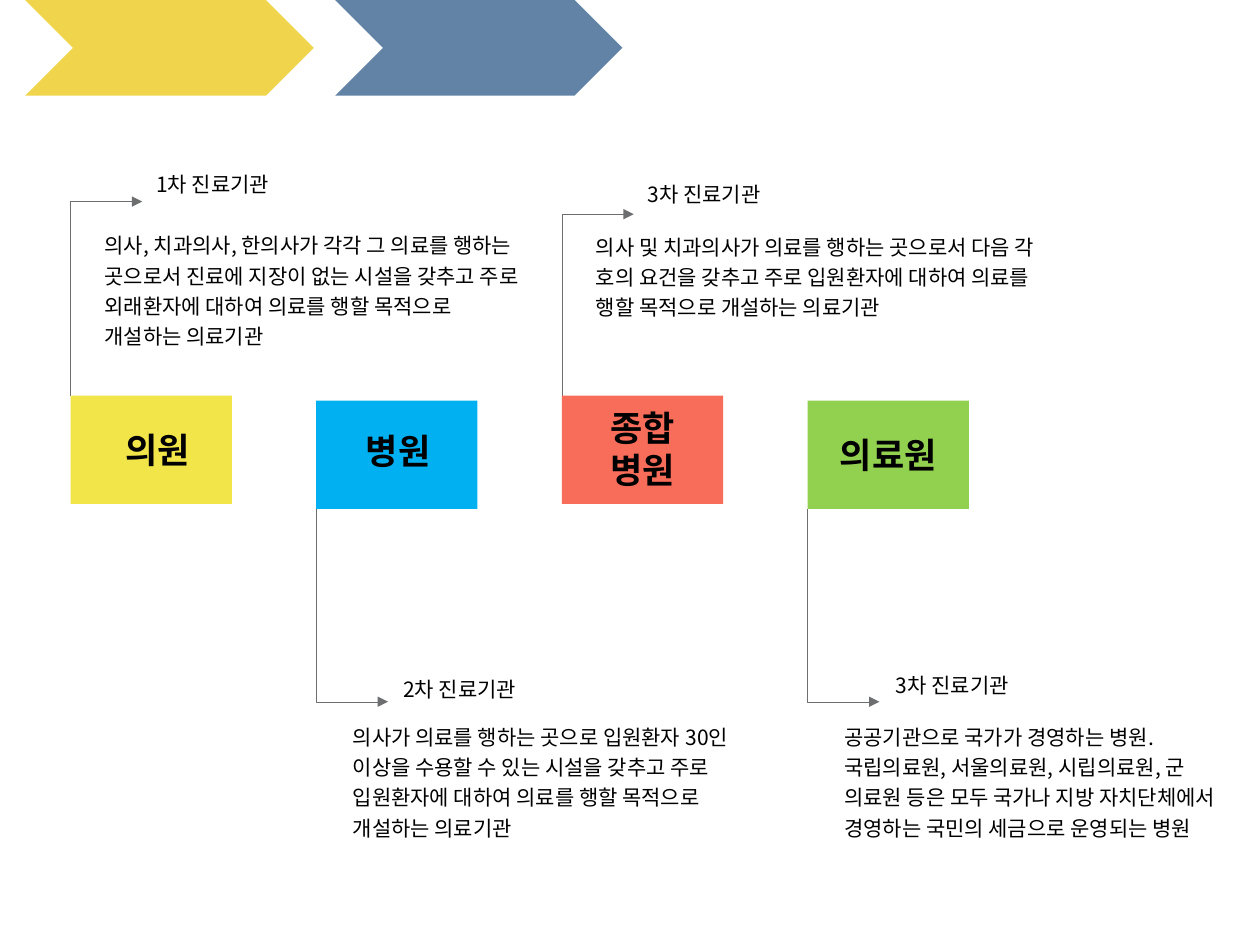
from pptx import Presentation
from pptx.dml.color import RGBColor
from pptx.enum.shapes import MSO_SHAPE
from pptx.enum.text import MSO_ANCHOR, PP_ALIGN
from pptx.oxml.ns import qn
from pptx.util import Inches, Pt
from lxml.etree import SubElement

THEME = {
    "font": "Noto Sans CJK KR",
    "text": "000000",
    "leader": "6D6E70",
    "body_size": 12,
    "name_size": 20,
}

# (left, width, colour)
CHEVRONS = [(0.2, 2.29, "F0D44C"), (2.66, 2.28, "6283A6")]
CHEVRON_HEIGHT = 0.76

# Boxes (left, top, width, height) for each text; "turn" is the height of the leader's bend.
INSTITUTIONS = [
    {"name": "의원", "name_box": (0.77, 3.35, 0.96, 0.44), "fill": "F1E549", "top": 3.14, "turn": 1.6,
     "level": "1차 진료기관", "level_box": (1.24, 1.36, 1.32, 0.45),
     "about": "의사, 치과의사, 한의사가 각각 그 의료를 행하는 곳으로서 진료에 지장이 없는 시설을 "
              "갖추고 주로 외래환자에 대하여 의료를 행할 목적으로 개설하는 의료기관",
     "about_box": (0.83, 1.81, 3.4, 1.27)},
    {"name": "병원", "name_box": (2.68, 3.36, 0.96, 0.44), "fill": "00B0F0", "top": 3.18, "turn": 5.57,
     "level": "2차 진료기관", "level_box": (3.2, 5.37, 1.32, 0.45),
     "about": "의사가 의료를 행하는 곳으로 입원환자 30인 이상을 수용할 수 있는 시설을 갖추고 주로 "
              "입원환자에 대하여 의료를 행할 목적으로 개설하는 의료기관",
     "about_box": (2.8, 5.71, 3.36, 1.3)},
    {"name": "종합병원", "name_box": (4.62, 3.18, 0.96, 0.77), "fill": "F86D5A", "top": 3.14, "turn": 1.7,
     "level": "3차 진료기관", "level_box": (5.14, 1.44, 1.32, 0.43),
     "about": "의사 및 치과의사가 의료를 행하는 곳으로서 다음 각 호의 요건을 갖추고 주로 "
              "입원환자에 대하여 의료를 행할 목적으로 개설하는 의료기관",
     "about_box": (4.73, 1.82, 3.7, 1.17)},
    {"name": "의료원", "name_box": (6.41, 3.39, 1.28, 0.44), "fill": "92D050", "top": 3.18, "turn": 5.57,
     "level": "3차 진료기관", "level_box": (7.11, 5.34, 1.32, 0.45),
     "about": "공공기관으로 국가가 경영하는 병원. 국립의료원, 서울의료원, 시립의료원, 군 의료원 등은 "
              "모두 국가나 지방 자치단체에서 경영하는 국민의 세금으로 운영되는 병원",
     "about_box": (6.7, 5.71, 2.95, 1.2)},
]
FIRST_LEFT, PITCH = 0.56, 1.95
BLOCK_WIDTH, BLOCK_HEIGHT = 1.28, 0.86
LEADER_REACH = 0.57


def add_filled(slide, preset, box, colour):
    shape = slide.shapes.add_shape(preset, *map(Inches, box))
    shape.shadow.inherit = False
    shape.fill.solid()
    shape.fill.fore_color.rgb = RGBColor.from_string(colour)
    shape.line.fill.background()


def add_text(slide, box, text, size, bold=False, align=PP_ALIGN.LEFT, spacing=1.0, margins=(0, 0)):
    frame = slide.shapes.add_textbox(*map(Inches, box)).text_frame
    frame.word_wrap = True
    frame.vertical_anchor = MSO_ANCHOR.TOP
    frame.margin_left = frame.margin_right = Inches(margins[0])
    frame.margin_top = frame.margin_bottom = Inches(margins[1])
    frame.text = text
    paragraph = frame.paragraphs[0]
    paragraph.alignment = align
    paragraph.line_spacing = spacing
    run = paragraph.runs[0]
    run.font.size = Pt(size)
    run.font.bold = bold
    run.font.color.rgb = RGBColor.from_string(THEME["text"])
    run.font.name = THEME["font"]
    SubElement(run.font._element, qn("a:ea"), typeface=THEME["font"])


def add_leader(slide, left, start, turn):
    """Draw an arrow that leaves a block vertically and bends to the right."""
    builder = slide.shapes.build_freeform(Inches(left), Inches(start))
    corners = [(left, turn), (left + LEADER_REACH, turn)]
    builder.add_line_segments([(Inches(x), Inches(y)) for x, y in corners], close=False)
    leader = builder.convert_to_shape()
    leader.shadow.inherit = False
    leader.fill.background()
    leader.line.color.rgb = RGBColor.from_string(THEME["leader"])
    leader.line.width = Pt(0.25)
    SubElement(leader.line._get_or_add_ln(), qn("a:tailEnd"), type="triangle")


def add_institution(slide, left, item):
    top, turn = item["top"], item["turn"]
    start = top if turn < top else top + BLOCK_HEIGHT
    add_text(slide, item["level_box"], item["level"], THEME["body_size"])
    add_leader(slide, left, start, turn)
    add_text(slide, item["about_box"], item["about"], THEME["body_size"], spacing=1.2)
    add_filled(slide, MSO_SHAPE.RECTANGLE, (left, top, BLOCK_WIDTH, BLOCK_HEIGHT), item["fill"])
    add_text(slide, item["name_box"], item["name"], THEME["name_size"], bold=True,
             align=PP_ALIGN.CENTER, margins=(0.1, 0.05))


def main():
    deck = Presentation()
    deck.slide_width, deck.slide_height = Inches(10), Inches(7.5)
    slide = deck.slides.add_slide(deck.slide_layouts[6])
    for index, item in enumerate(INSTITUTIONS):
        add_institution(slide, FIRST_LEFT + index * PITCH, item)
    for left, width, colour in CHEVRONS:
        add_filled(slide, MSO_SHAPE.CHEVRON, (left, 0, width, CHEVRON_HEIGHT), colour)
    deck.save("out.pptx")


if __name__ == "__main__":
    main()
